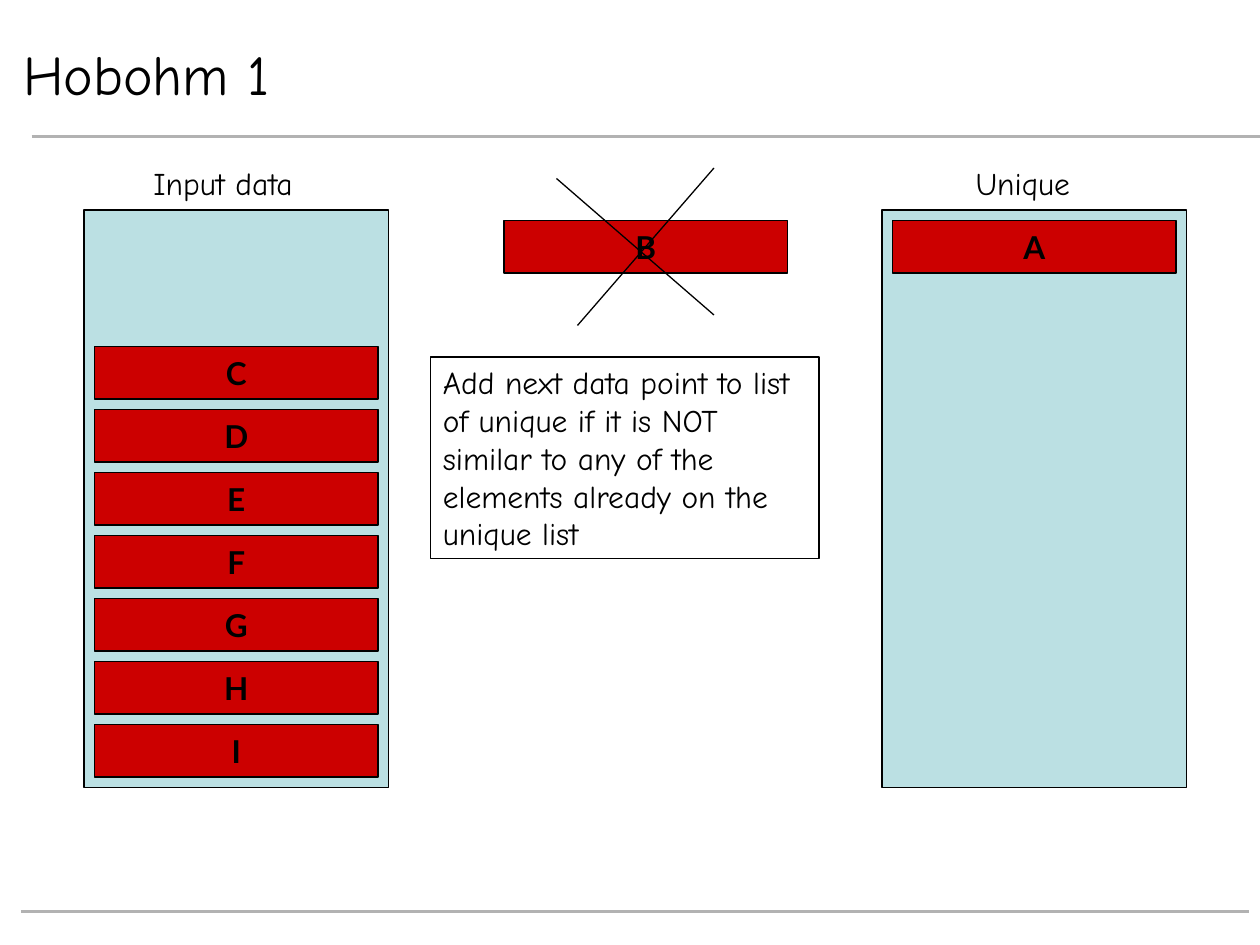
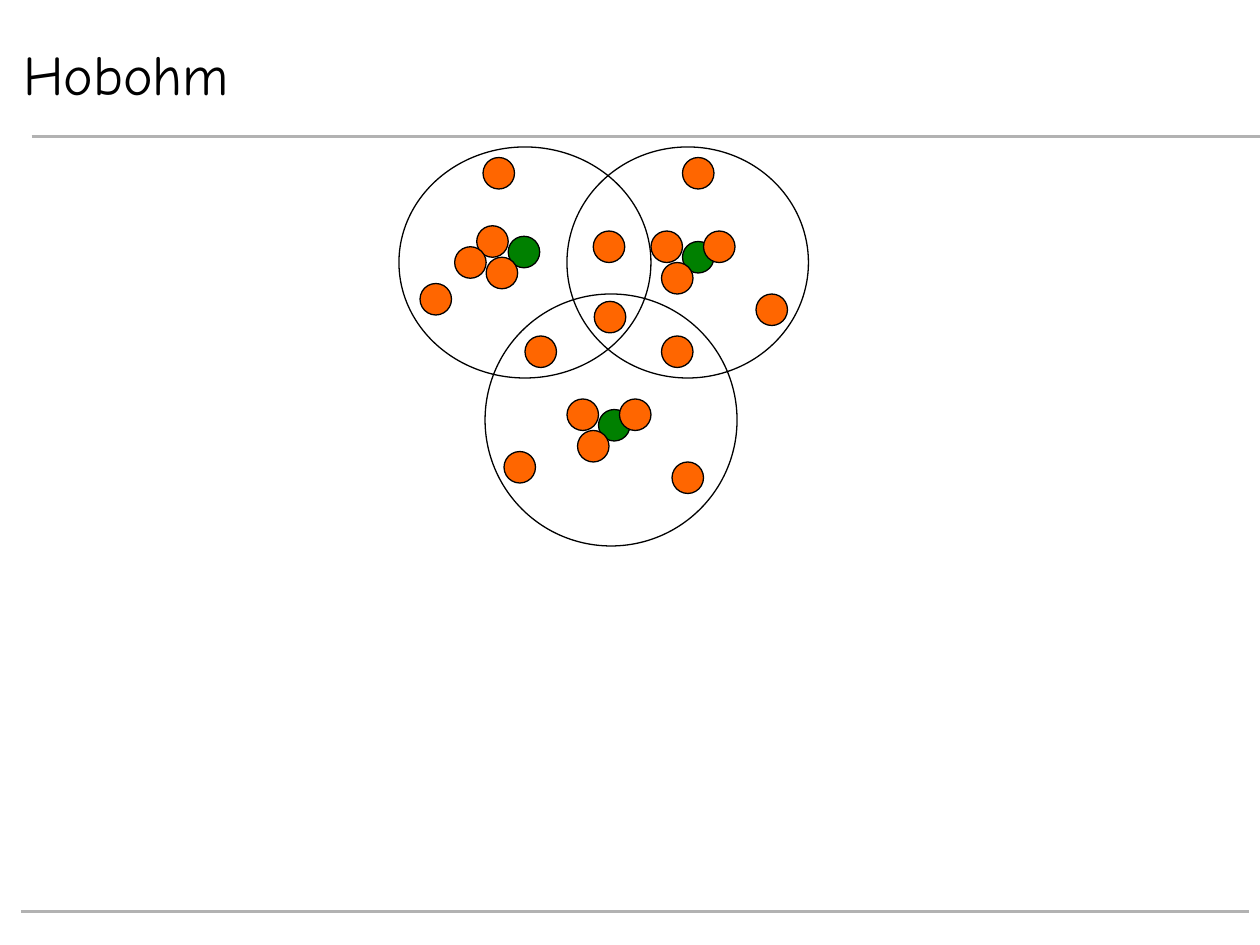
from dataclasses import dataclass

from lxml import etree
from pptx import Presentation
from pptx import util as u
from pptx.dml.color import RGBColor
from pptx.enum import shapes, text
from pptx.oxml import ns


@dataclass(frozen=True)
class Theme:
    ink: str = "000000"
    paper: str = "FFFFFF"
    rule: str = "B2B2B2"
    bin: str = "BBE0E3"
    bar: str = "CC0000"
    dot: str = "FF6600"
    pick: str = "008000"
    font: str = "Comic Neue"
    mark: str = "Lato"
    head: int = 32
    body: int = 18
    thin: float = 0.75
    thick: float = 1.5


class Deck:
    """Draws styled elements on a grid of 120 columns by 90 rows."""

    def __init__(self, theme):
        self.theme = theme
        self.prs = Presentation()
        self.prs.slide_width, self.prs.slide_height = u.Inches(10), u.Inches(7.5)
        self.col = self.prs.slide_width / 120
        self.row = self.prs.slide_height / 90

    def grid(self, x, y):
        return round(x * self.col), round(y * self.row)

    def page(self, title):
        t = self.theme
        slide = self.prs.slides.add_slide(self.prs.slide_layouts[5])
        self.pool = slide.shapes
        self.line((3, 13), (120, 13), t.rule, t.thick)
        self.line((2, 86.8), (119, 86.8), t.rule, t.thick)
        head = slide.shapes.title
        head.left, head.top = self.grid(1, 4)
        head.width, head.height = self.grid(94, 6)
        self.paint(head, t.paper, t.paper)
        self.label(head, title, size=t.head, align=text.PP_ALIGN.LEFT)

    def group(self):
        self.pool = self.pool.add_group_shape().shapes

    def paint(self, shape, fill, edge):
        if fill:
            shape.fill.solid()
            shape.fill.fore_color.rgb = RGBColor.from_string(fill)
        else:
            shape.fill.background()
        shape.line.color.rgb = RGBColor.from_string(edge)
        shape.line.width = u.Pt(self.theme.thin)

    def label(self, shape, words, size=None, face=None, bold=False, wrap=True,
              align=text.PP_ALIGN.CENTER, anchor=text.MSO_ANCHOR.MIDDLE):
        frame = shape.text_frame
        frame.text = words
        frame.word_wrap = wrap
        frame.auto_size = text.MSO_AUTO_SIZE.NONE
        frame.vertical_anchor = anchor
        para = frame.paragraphs[0]
        para.alignment = align
        font = para.font
        font.name = face or self.theme.font
        font.size = u.Pt(size or self.theme.body)
        font.bold = bold
        font.color.rgb = RGBColor.from_string(self.theme.ink)

    def shape(self, kind, x, y, w, h, fill=None):
        item = self.pool.add_shape(kind, *self.grid(x, y), *self.grid(w, h))
        item.shadow.inherit = False
        self.paint(item, fill, self.theme.ink)
        return item

    def rect(self, *box, fill=None):
        return self.shape(shapes.MSO_SHAPE.RECTANGLE, *box, fill=fill)

    def oval(self, *box, fill=None):
        return self.shape(shapes.MSO_SHAPE.OVAL, *box, fill=fill)

    def bin(self, x):
        self.rect(x, 20, 29, 55, fill=self.theme.bin)

    def bar(self, x, slot, name):
        item = self.rect(x, 21 + 6 * slot, 27, 5, fill=self.theme.bar)
        self.label(item, name, face=self.theme.mark, bold=True, wrap=False)

    def caption(self, x, width, words):
        item = self.pool.add_textbox(*self.grid(x, 15), *self.grid(width, 4.8))
        self.label(item, words, wrap=False, anchor=text.MSO_ANCHOR.TOP)

    def note(self, box, words):
        self.label(self.rect(*box), words, align=text.PP_ALIGN.LEFT,
                   anchor=text.MSO_ANCHOR.TOP)

    def dots(self, spots, fill):
        for x, y in spots:
            self.oval(x, y, 3, 3, fill=fill)

    def line(self, start, end, color=None, width=None):
        item = self.pool.add_connector(shapes.MSO_CONNECTOR.STRAIGHT,
                                       *self.grid(*start), *self.grid(*end))
        item.line.color.rgb = RGBColor.from_string(color or self.theme.ink)
        item.line.width = u.Pt(width or self.theme.thin)
        etree.SubElement(item.element.spPr, ns.qn("a:effectLst"))


def lists(deck):
    deck.page("Hobohm 1")
    deck.bin(8)
    deck.bin(84)
    deck.caption(13.4, 15.7, "Input data")
    deck.caption(91.7, 11.4, "Unique")
    deck.bar(85, 0, "A")
    for slot, name in enumerate("CDEFGHI", 2):
        deck.bar(9, slot, name)
    deck.note((41, 34, 37, 19.2),
              "Add next data point to list of unique if it is NOT similar to "
              "any of the elements already on the unique list")
    deck.bar(48, 0, "B")
    deck.line((53, 17), (68, 30))
    deck.line((55, 31), (68, 16))


def rings(deck):
    deck.page("Hobohm")
    deck.group()
    for ring in ((38, 14, 24, 22), (46.2, 28, 24, 24), (54, 14, 23, 22)):
        deck.oval(*ring)
    left = [(46, 15), (40, 27), (46.3, 24.5), (45.4, 21.5), (43.3, 23.5)]
    right = [(65, 15), (72, 28), (63, 25), (62, 22), (67, 22)]
    low = [(48, 43), (64, 44), (55, 41), (54, 38), (59, 38)]
    shared = [(56.5, 22), (56.6, 28.7), (63, 32), (50, 32)]
    deck.dots([(48.4, 22.5), (65, 23), (57, 39)], deck.theme.pick)
    deck.dots(left + right + low + shared, deck.theme.dot)


def main():
    deck = Deck(Theme())
    lists(deck)
    rings(deck)
    deck.prs.save("out.pptx")


if __name__ == "__main__":
    main()
